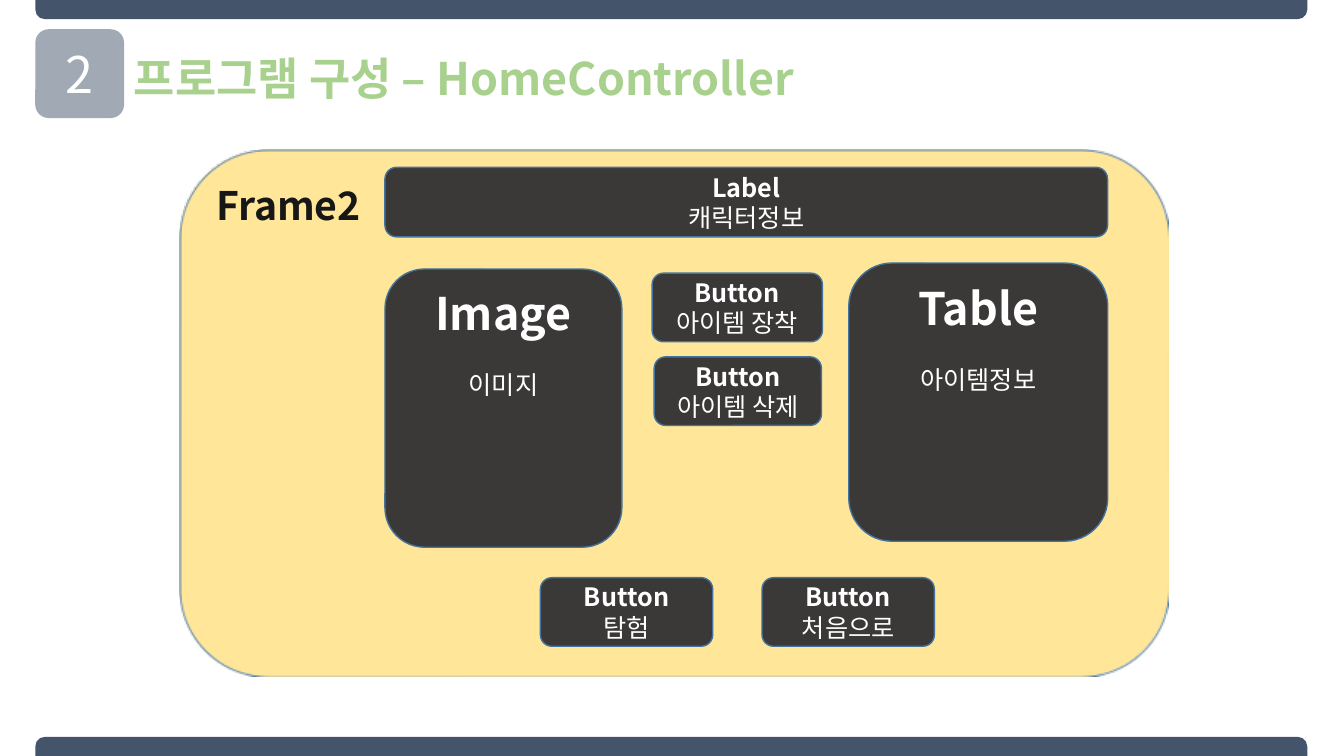
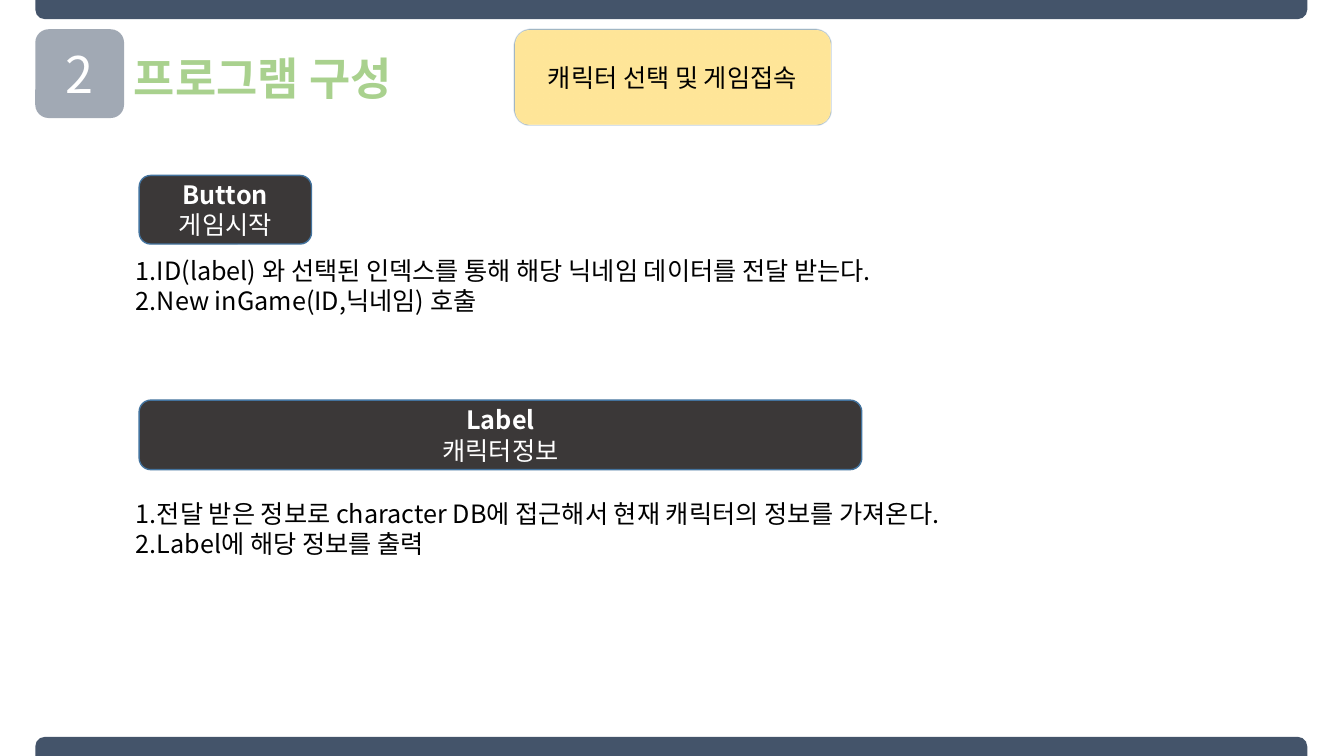
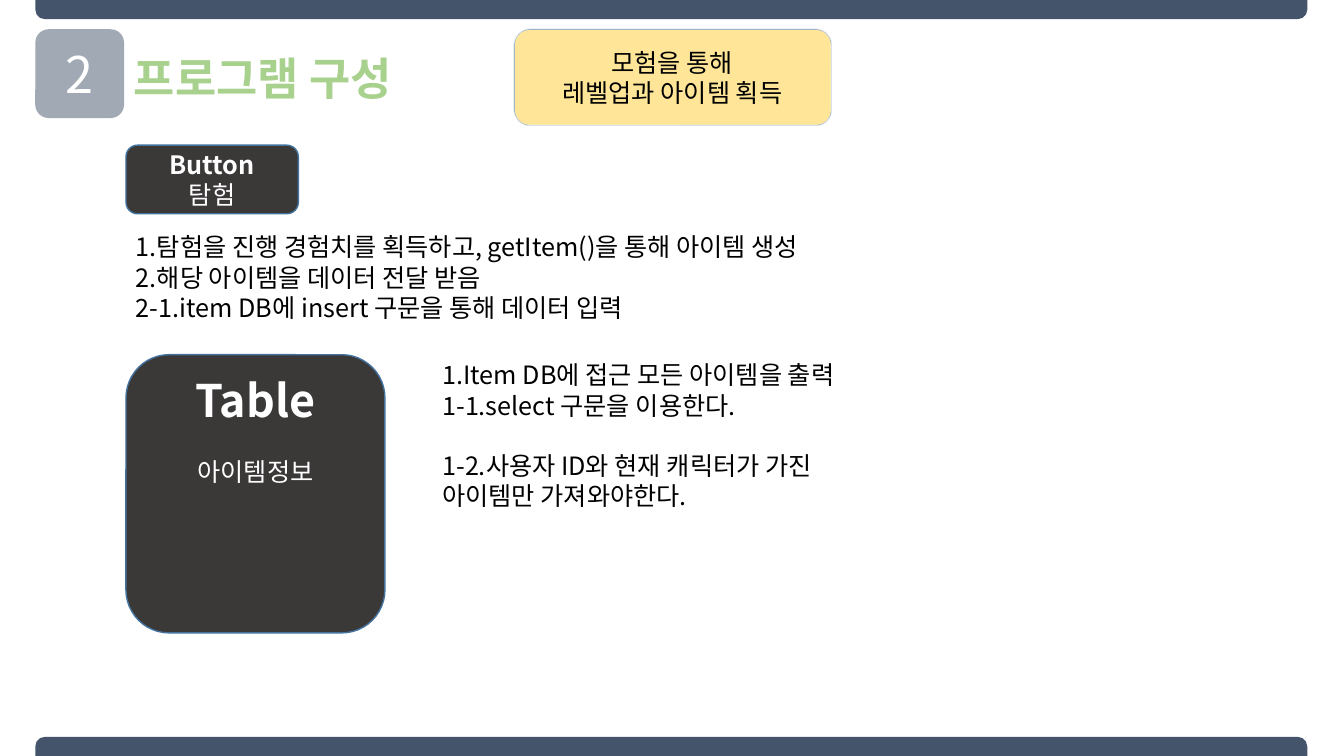
"""Build three slides describing the screens of a game program."""
from dataclasses import dataclass

from lxml import etree
from pptx import Presentation
from pptx import util as u
from pptx.dml.color import RGBColor
from pptx.enum import shapes, text
from pptx.oxml.ns import qn

COLORS = {
    "navy": "44546A",
    "green": "A9D18E",
    "yellow": "FFE699",
    "charcoal": "3B3838",
    "outline": "43739E",
    "ink": "181717",
    "black": "000000",
    "white": "FFFFFF",
}
KOREAN_FONT = "Noto Sans CJK KR"
NUMBER_FONT = "Noto Sans CJK SC"
LINE_RATIO = 1.2
BODY_SIZE = 18
BODY_LINE = BODY_SIZE * LINE_RATIO
BAND_LEFT, BAND_WIDTH, BAND_HEIGHT = 25.2, 908.6, 13.7
SLIDE_WIDTH, SLIDE_HEIGHT = 960, 540
BUTTON_WIDTH, BUTTON_HEIGHT = 123.1, 49
LABEL_WIDTH, LABEL_HEIGHT = 516.2, 49.7
TABLE_WIDTH, PANEL_HEIGHT = 185, 198.7
LEFT = text.PP_ALIGN.LEFT
CENTER = text.PP_ALIGN.CENTER
TOP = text.MSO_ANCHOR.TOP
MIDDLE = text.MSO_ANCHOR.MIDDLE
ROUNDED = shapes.MSO_SHAPE.ROUNDED_RECTANGLE


@dataclass(frozen=True)
class Box:
    """Position and size in points."""
    left: float
    top: float
    width: float
    height: float

    def lengths(self) -> list:
        """Return the four lengths for python-pptx."""
        return [u.Pt(n) for n in (self.left, self.top, self.width, self.height)]


@dataclass(frozen=True)
class Line:
    """One paragraph with its format."""
    words: str
    size: float = BODY_SIZE
    bold: bool = False
    gap: float = 0


@dataclass(frozen=True)
class Widget:
    """A dark screen part with its kind and its meaning."""
    kind: str
    meaning: str
    box: Box


@dataclass(frozen=True)
class Note:
    """Explanatory lines in a text box."""
    box: Box
    lines: tuple


@dataclass(frozen=True)
class Page:
    """The content of one explanatory slide."""
    topic: tuple
    widgets: tuple
    notes: tuple


def color(name: str) -> RGBColor:
    """Look up a palette colour."""
    return RGBColor.from_string(COLORS[name])


def write(shape, lines, ink: str, align=LEFT, anchor=TOP, font: str = KOREAN_FONT) -> None:
    """Put formatted paragraphs into a shape."""
    frame = shape.text_frame
    frame.word_wrap = True
    frame.vertical_anchor = anchor
    frame.text = "\n".join(line.words for line in lines)
    for paragraph, line in zip(frame.paragraphs, lines):
        paragraph.alignment = align
        paragraph.line_spacing = u.Pt(line.size * LINE_RATIO)
        if line.gap:
            paragraph.space_before = u.Pt(line.gap)
        for run in paragraph.runs:
            run.font.size = u.Pt(line.size)
            run.font.bold = line.bold
            run.font.color.rgb = color(ink)
            run.font.name = font
            latin = run.font._element.find(qn("a:latin"))
            east_asian = etree.Element(qn("a:ea"), typeface=font)
            latin.addnext(east_asian)


def add_block(slide, box: Box, fill: str, outline: bool = False, preset=ROUNDED):
    """Draw a flat filled shape."""
    block = slide.shapes.add_shape(preset, *box.lengths())
    block.shadow.inherit = False
    block.fill.solid()
    block.fill.fore_color.rgb = color(fill)
    if outline:
        block.line.color.rgb = color("outline")
        block.line.width = u.Pt(1)
    else:
        block.line.fill.background()
    return block


def add_soft_block(slide, box: Box):
    """Draw a yellow block with softened edges."""
    block = add_block(slide, box, "yellow", outline=True)
    effects = block._element.spPr.find(qn("a:effectLst"))
    etree.SubElement(effects, qn("a:softEdge"), rad=str(u.Pt(1)))
    return block


def add_note(slide, note: Note, ink: str = "black") -> None:
    """Draw a text box."""
    write(slide.shapes.add_textbox(*note.box.lengths()), note.lines, ink)


def add_widget(slide, widget: Widget) -> None:
    """Draw a screen part, as a tall panel or a short control."""
    block = add_block(slide, widget.box, "charcoal", outline=True)
    tall = widget.box.height == PANEL_HEIGHT
    lines = (
        Line(widget.kind, 32 if tall else BODY_SIZE, bold=True),
        Line(widget.meaning, gap=BODY_LINE if tall else 0),
    )
    write(block, lines, "white", CENTER, TOP if tall else MIDDLE)


def add_page(deck, title: str, title_width: float):
    """Add a slide with its bands, number and title."""
    slide = deck.slides.add_slide(deck.slide_layouts[6])
    for top, turn in ((0, 180), (SLIDE_HEIGHT - BAND_HEIGHT, 0)):
        band = add_block(slide, Box(BAND_LEFT, top, BAND_WIDTH, BAND_HEIGHT), "navy",
                         preset=shapes.MSO_SHAPE.ROUND_2_SAME_RECTANGLE)
        band.adjustments[0] = 0.5
        band.rotation = turn
    number = add_block(slide, Box(BAND_LEFT, 20.9, 63.4, 63.4), "navy")
    number.adjustments[0] = 0.15
    tint = number._element.spPr.find(qn("a:solidFill"))[0]
    etree.SubElement(tint, qn("a:alpha"), val="50000")
    write(number, (Line("2", 36),), "white", CENTER, MIDDLE, NUMBER_FONT)
    heading = Note(Box(88.6, 32.4, title_width, 46), (Line(title, 32, bold=True),))
    add_note(slide, heading, "green")
    return slide


def button(meaning: str, left: float, top: float, width: float = BUTTON_WIDTH) -> Widget:
    """Describe a button."""
    return Widget("Button", meaning, Box(left, top, width, BUTTON_HEIGHT))


def info_label(left: float, top: float) -> Widget:
    """Describe the character label."""
    return Widget("Label", "캐릭터정보", Box(left, top, LABEL_WIDTH, LABEL_HEIGHT))


def item_table(left: float, top: float) -> Widget:
    """Describe the item table."""
    return Widget("Table", "아이템정보", Box(left, top, TABLE_WIDTH, PANEL_HEIGHT))


HOME_WIDGETS = (
    item_table(606.3, 187.9),
    info_label(275, 119.5),
    button("탐험", 386, 412.6),
    button("아이템 장착", 465.8, 195.1, 121.7),
    button("처음으로", 544.3, 412.6),
    Widget("Image", "이미지", Box(275, 192.2, 169.2, PANEL_HEIGHT)),
    button("아이템 삭제", 467.3, 254.9, 119.5),
)
PAGES = (
    Page(
        (Line("캐릭터 선택 및 게임접속"),),
        (button("게임시작", 99.4, 125.3), info_label(99.4, 285.8)),
        (
            Note(Box(90, 178.6, 594.7, 51.1), (
                Line("1.ID(label) 와 선택된 인덱스를 통해 해당 닉네임 데이터를 전달 받는다."),
                Line("2.New inGame(ID,닉네임) 호출"),
            )),
            Note(Box(90, 352.1, 643.7, 51.1), (
                Line("1.전달 받은 정보로 character DB에 접근해서 현재 캐릭터의 정보를 가져온다."),
                Line("2.Label에 해당 정보를 출력"),
            )),
        ),
    ),
    Page(
        (Line("모험을 통해"), Line("레벨업과 아이템 획득")),
        (item_table(90, 253.4), button("탐험", 90, 103.7)),
        (
            Note(Box(90, 162, 534.2, 72.7), (
                Line("1.탐험을 진행 경험치를 획득하고, getItem()을 통해 아이템 생성"),
                Line("2.해당 아이템을 데이터 전달 받음"),
                Line("2-1.item DB에 insert 구문을 통해 데이터 입력"),
            )),
            Note(Box(308.9, 253.4, 321.1, 116.6), (
                Line("1.Item DB에 접근 모든 아이템을 출력"),
                Line("1-1.select 구문을 이용한다."),
                Line("1-2.사용자 ID와 현재 캐릭터가 가진", gap=BODY_LINE),
                Line("아이템만 가져와야한다."),
            )),
        ),
    ),
)


def build_home(deck) -> None:
    """Build the slide with the screen layout."""
    slide = add_page(deck, "프로그램 구성 – HomeController", 505.4)
    screen = add_soft_block(slide, Box(129, 107.3, 705, 375.8))
    write(screen, (Line("Frame2", 28, bold=True),), "ink")
    for widget in HOME_WIDGETS:
        add_widget(slide, widget)


def build_page(deck, page: Page) -> None:
    """Build one explanatory slide."""
    slide = add_page(deck, "프로그램 구성", 219.6)
    topic = add_soft_block(slide, Box(367.2, 20.9, 226.1, 68.4))
    write(topic, page.topic, "black", CENTER, MIDDLE)
    for widget in page.widgets:
        add_widget(slide, widget)
    for note in page.notes:
        add_note(slide, note)


def main() -> None:
    """Build and save the presentation."""
    deck = Presentation()
    deck.slide_width, deck.slide_height = u.Pt(SLIDE_WIDTH), u.Pt(SLIDE_HEIGHT)
    build_home(deck)
    for page in PAGES:
        build_page(deck, page)
    deck.save("out.pptx")


if __name__ == "__main__":
    main()
